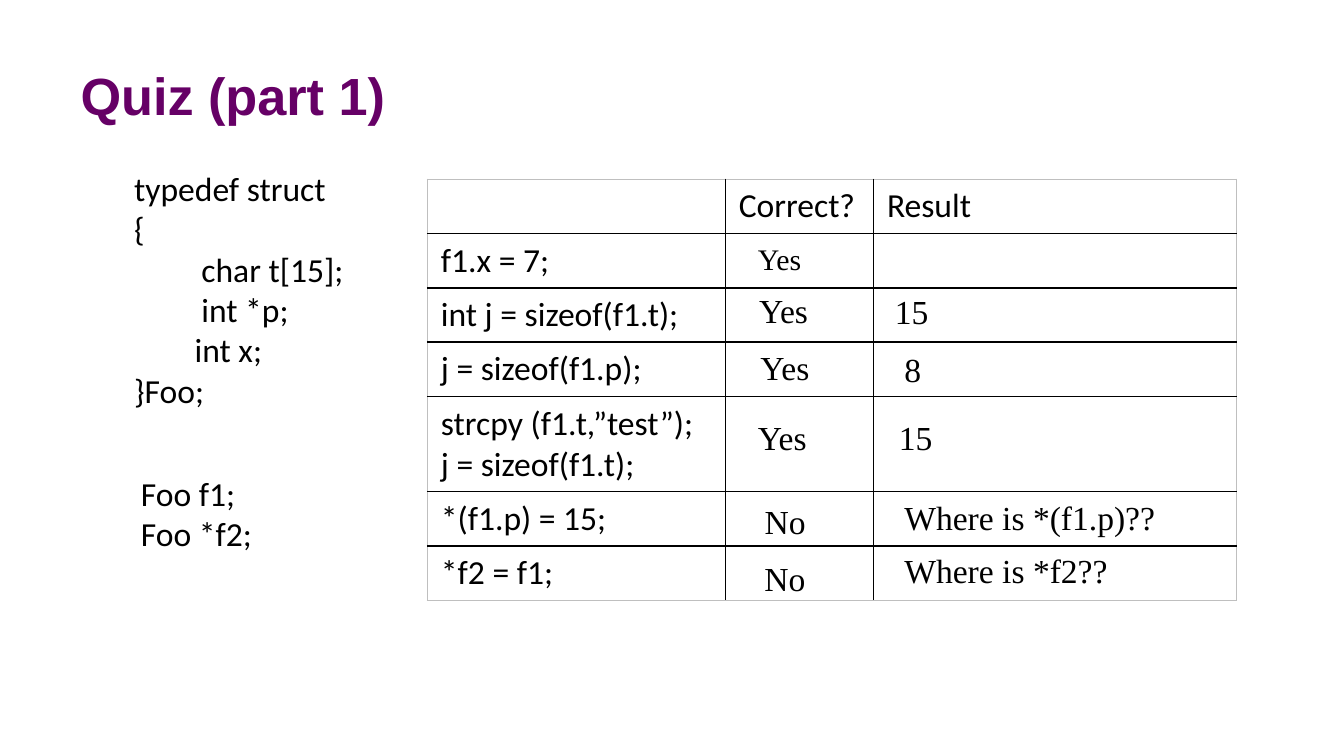
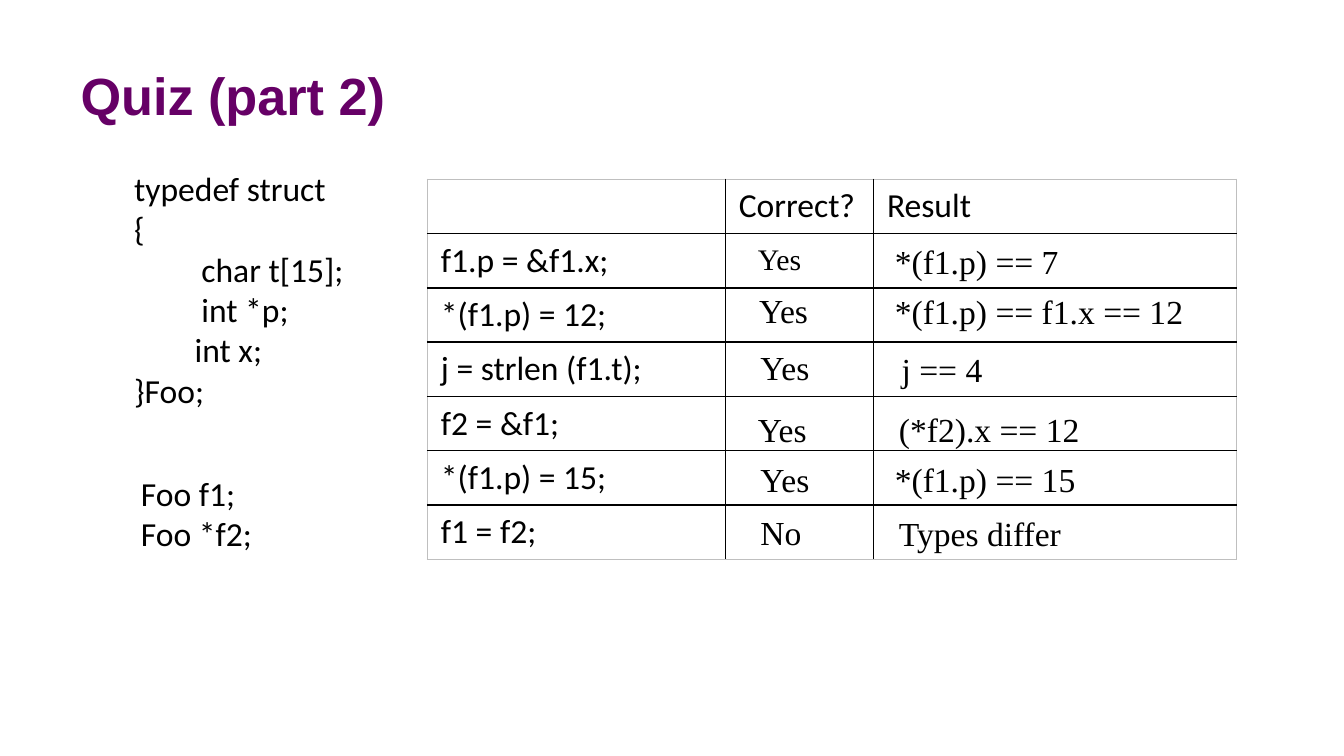
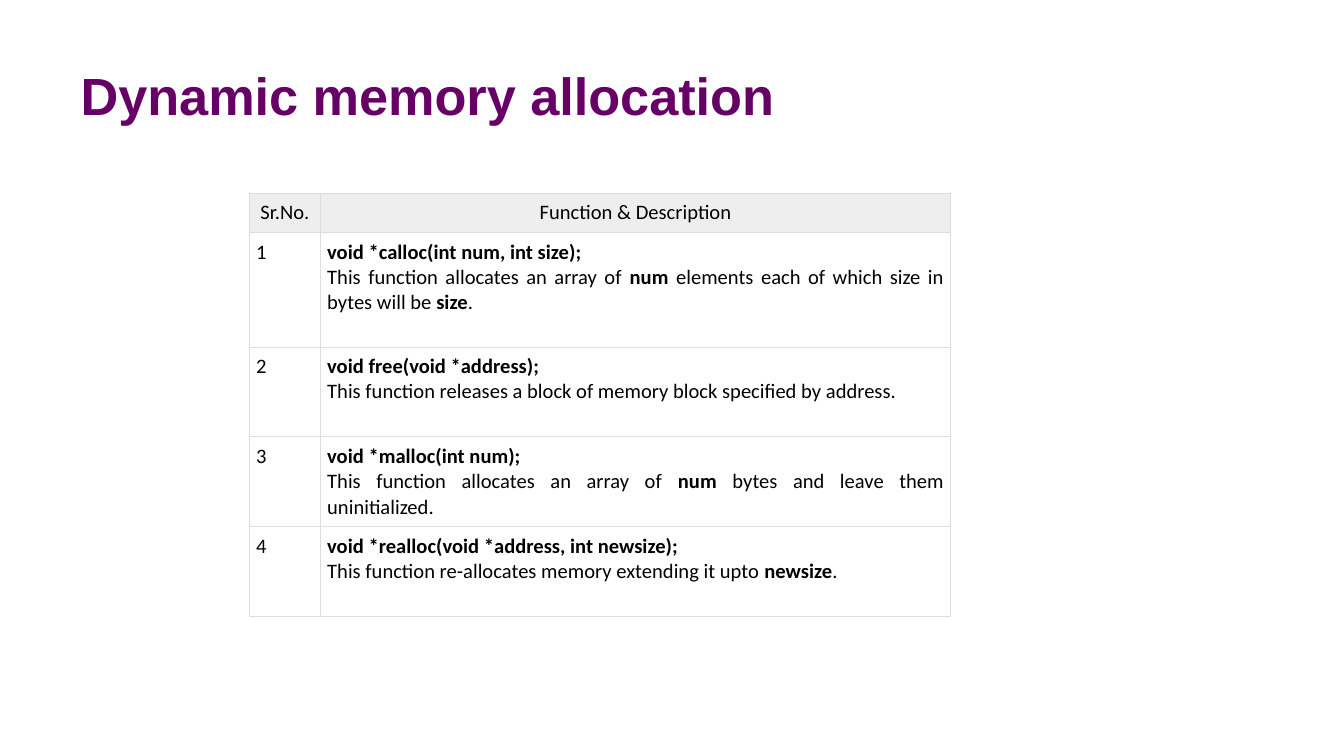
"""Build three slides on C structs, pointers and memory allocation."""
from dataclasses import dataclass

from lxml import etree
from pptx import Presentation
from pptx.dml.color import RGBColor
from pptx.enum.text import MSO_ANCHOR, MSO_AUTO_SIZE, PP_ALIGN
from pptx.oxml.ns import qn
from pptx.util import Pt

LEFT, CENTER, JUST = PP_ALIGN.LEFT, PP_ALIGN.CENTER, PP_ALIGN.JUSTIFY
MIDDLE, GROW = MSO_ANCHOR.MIDDLE, MSO_AUTO_SIZE.SHAPE_TO_FIT_TEXT


@dataclass(frozen=True)
class Theme:
    title: str = "660066"
    ink: str = "000000"
    frame: str = "BFBFBF"
    rule: str = "DDDDDD"
    head: str = "EEEEEE"
    sans: str = "Arial"
    code: str = "Calibri"
    hand: str = "Times New Roman"
    big: float = 28
    body: float = 18
    note: float = 16
    small: float = 11


THEME = Theme()

STRUCT = [
    ("typedef struct", 36), ("{", 36), ("char t[15];", 72),
    ("int *p;", 72), ("int x;", 68.4), ("}Foo;", 36),
]
VARS = [("Foo f1;", 0), ("Foo *f2;", 0)]
HEADS = ["", "Correct?", "Result"]

QUIZZES = [
    {
        "title": "Quiz (part 1)",
        "code": [
            ["f1.x = 7;"], ["int j = sizeof(f1.t);"], ["j = sizeof(f1.p);"],
            ["strcpy (f1.t,”test”);", "j = sizeof(f1.t);"],
            ["*(f1.p) = 15;"], ["*f2 = f1;"],
        ],
        "marks": [
            ("Yes", 398.9, 125.3, 56.9), ("Yes", 399.6, 151.9, 56.9),
            ("Yes", 400.3, 182.2, 56.9), ("Yes", 398.9, 219.6, 56.9),
            ("No", 402.5, 265, 56.9), ("No", 402.5, 295.2, 38.2),
            ("15", 472.3, 152.6, 32.4), ("8", 477.4, 183.6, 23.8),
            ("15", 474.5, 219.6, 74.2),
            ("Where is *(f1.p)??", 477.4, 262.8, 164.2),
            ("Where is *f2??", 477.4, 290.9, 140.4),
        ],
    },
    {
        "title": "Quiz (part 2)",
        "code": [
            ["f1.p = &f1.x;"], ["*(f1.p) = 12;"], ["j = strlen (f1.t);"],
            ["f2 = &f1;"], ["*(f1.p) = 15;"], ["f1 = f2;"],
        ],
        "marks": [
            ("Yes", 398.9, 125.3, 56.9), ("Yes", 399.6, 151.9, 56.9),
            ("Yes", 400.3, 182.2, 56.9), ("Yes", 398.9, 215.3, 56.9),
            ("Yes", 400.3, 242.6, 56.9), ("No", 400.3, 270.7, 38.2),
            ("*(f1.p) == 7", 472.3, 125.3, 145.4),
            ("*(f1.p) == f1.x == 12", 472.3, 152.6, 172.1),
            ("j == 4", 475.9, 183.6, 152.6),
            ("(*f2).x == 12", 474.5, 215.3, 179.3),
            ("*(f1.p) == 15", 472.3, 242.6, 164.2),
            ("Types differ", 474.5, 271.4, 115.9),
        ],
    },
]

ALLOC = "Dynamic memory allocation"
CALLS = [
    ("void *calloc(int num, int size);", 61.3, [
        ("This function allocates an array of ", False), ("num", True),
        (" elements each of which size in bytes will be ", False),
        ("size", True), (".", False)]),
    ("void free(void *address);", 48.1, [
        ("This function releases a block of memory block "
         "specified by address.", False)]),
    ("void *malloc(int num);", 48.1, [
        ("This function allocates an array of ", False), ("num", True),
        (" bytes and leave them uninitialized.", False)]),
    ("void *realloc(void *address, int newsize);", 48.1, [
        ("This function re-allocates memory extending it upto ", False),
        ("newsize", True), (".", False)]),
]


def add_run(para, text, font, size, color=THEME.ink, bold=False):
    run = para.add_run()
    run.text = text
    run.font.name, run.font.size, run.font.bold = font, Pt(size), bold
    run.font.color.rgb = RGBColor.from_string(color)


def fill_paras(frame, paras, font, size, align=LEFT):
    """Write paragraphs, each a list of (text, bold) runs."""
    for i, runs in enumerate(paras):
        para = frame.add_paragraph() if i else frame.paragraphs[0]
        para.alignment = align
        for text, bold in runs:
            add_run(para, text, font, size, bold=bold)


def add_slide(deck, title):
    slide = deck.slides.add_slide(deck.slide_layouts[5])
    shape = slide.shapes.title
    shape.left, shape.top = Pt(36), Pt(16.6)
    shape.width, shape.height = Pt(648), Pt(67.7)
    frame = shape.text_frame
    frame.vertical_anchor = MIDDLE
    para = frame.paragraphs[0]
    para.alignment = LEFT
    add_run(para, title, THEME.sans, THEME.big, THEME.title, True)
    return slide


def add_box(slide, lines, box, font, size, wrap=True):
    """Place lines, given as (text, indent), in a text box."""
    frame = slide.shapes.add_textbox(*map(Pt, box)).text_frame
    frame.word_wrap, frame.auto_size = wrap, GROW
    fill_paras(frame, [[(text, False)] for text, _ in lines], font, size)
    for para, (_, indent) in zip(frame.paragraphs, lines):
        if indent:
            props = para._p.get_or_add_pPr()
            props.set("marL", str(Pt(indent)))
            props.set("indent", "0")


def set_edges(cell, edges):
    """Draw cell borders from (side, colour, width) in schema order."""
    props = cell._tc.get_or_add_tcPr()
    for i, (side, color, width) in enumerate(edges):
        line = etree.Element(qn("a:ln" + side), w=str(Pt(width)))
        solid = etree.SubElement(line, qn("a:solidFill"))
        etree.SubElement(solid, qn("a:srgbClr"), val=color)
        props.insert(i, line)


def add_grid(slide, left, top, cols, rows, inner, outer):
    """Add an unfilled table with inner and outer (colour, width) borders."""
    table = slide.shapes.add_table(
        len(rows), len(cols), Pt(left), Pt(top),
        Pt(sum(cols)), Pt(sum(rows))).table
    table.first_row = table.horz_banding = False
    for col, width in zip(table.columns, cols):
        col.width = Pt(width)
    for row, height in zip(table.rows, rows):
        row.height = Pt(height)
    for r in range(len(rows)):
        for c in range(len(cols)):
            cell = table.cell(r, c)
            cell.fill.background()
            rims = {"L": c == 0, "R": c == len(cols) - 1,
                    "T": r == 0, "B": r == len(rows) - 1}
            set_edges(cell, [(side, *(outer if rim else inner))
                             for side, rim in rims.items()])
    return table


def add_quiz(deck, quiz):
    slide = add_slide(deck, quiz["title"])
    add_box(slide, STRUCT, (28.8, 86.4, 169.2, 138.2), THEME.code, THEME.body)
    cells = [[[head] for head in HEADS]] + [[code] for code in quiz["code"]]
    rows = [7.2 + 21.9 * len(row[0]) for row in cells]
    table = add_grid(slide, 229, 96, [159.6, 79.4, 194.4], rows,
                     (THEME.ink, 1), (THEME.frame, 0.75))
    for r, row in enumerate(cells):
        for c, lines in enumerate(row):
            paras = [[(line, False)] for line in lines if line]
            fill_paras(table.cell(r, c).text_frame, paras,
                       THEME.code, THEME.body)
    add_box(slide, VARS, (68.4, 249.8, 129.6, 51.1), THEME.code, THEME.body)
    for i, (text, left, top, width) in enumerate(quiz["marks"]):
        size = THEME.body if i else THEME.note
        add_box(slide, [(text, 0)], (left, top, width, 1.2 * size + 7.2),
                THEME.hand, size, width > 36)


def add_calls(deck):
    slide = add_slide(deck, ALLOC)
    rows = [21.1] + [height for _, height, _ in CALLS]
    edge = (THEME.rule, 0.75)
    table = add_grid(slide, 133.6, 103.6, [38.1, 337.6], rows, edge, edge)
    cells = [([[("Sr.No.", False)]], [[("Function & Description", False)]])]
    cells += [([[(str(i), False)]], [[(name, True)], runs])
              for i, (name, _, runs) in enumerate(CALLS, 1)]
    for r, row in enumerate(cells):
        for c, paras in enumerate(row):
            cell = table.cell(r, c)
            cell.margin_left = cell.margin_right = Pt(3.6)
            cell.margin_top = cell.margin_bottom = Pt(3.6)
            align = (LEFT, JUST)[c] if r else CENTER
            fill_paras(cell.text_frame, paras, THEME.code, THEME.small, align)
            if r == 0:
                cell.fill.solid()
                cell.fill.fore_color.rgb = RGBColor.from_string(THEME.head)


def main():
    deck = Presentation()
    deck.slide_width, deck.slide_height = Pt(720), Pt(405)
    for quiz in QUIZZES:
        add_quiz(deck, quiz)
    add_calls(deck)
    deck.save("out.pptx")


if __name__ == "__main__":
    main()
